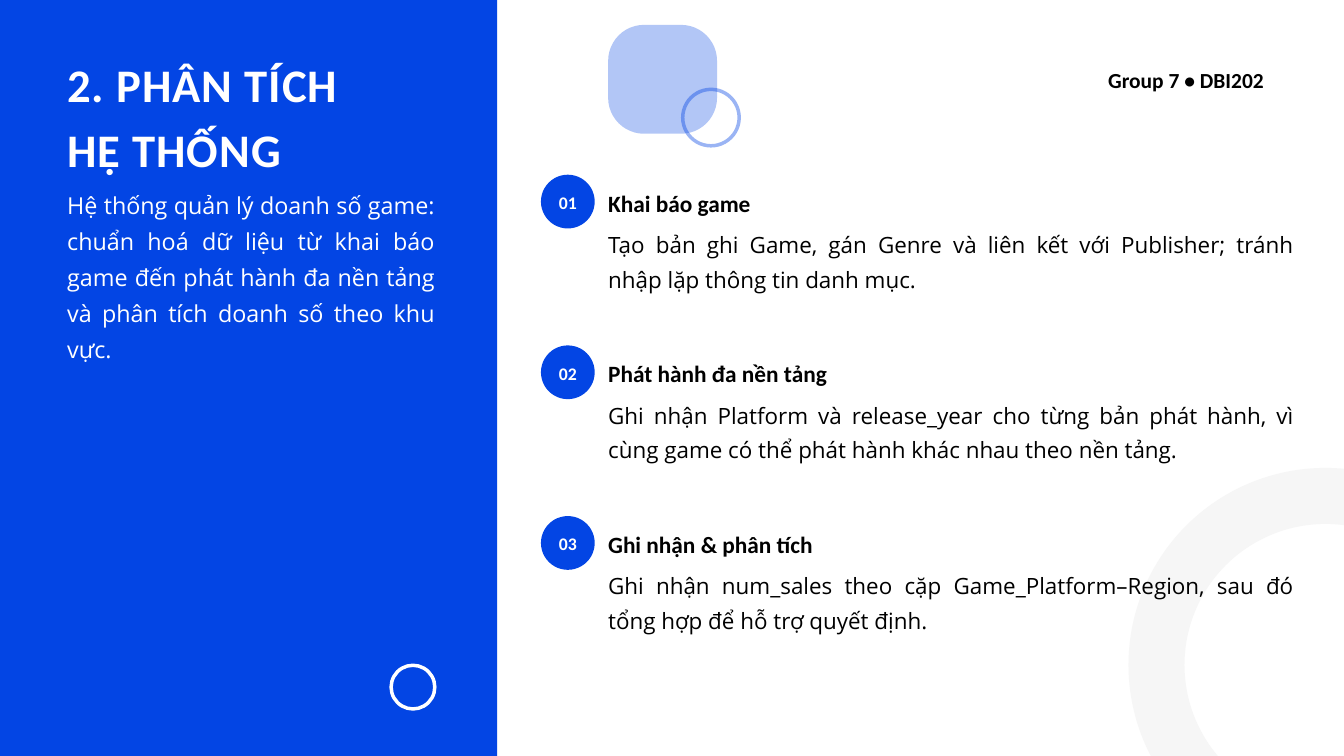
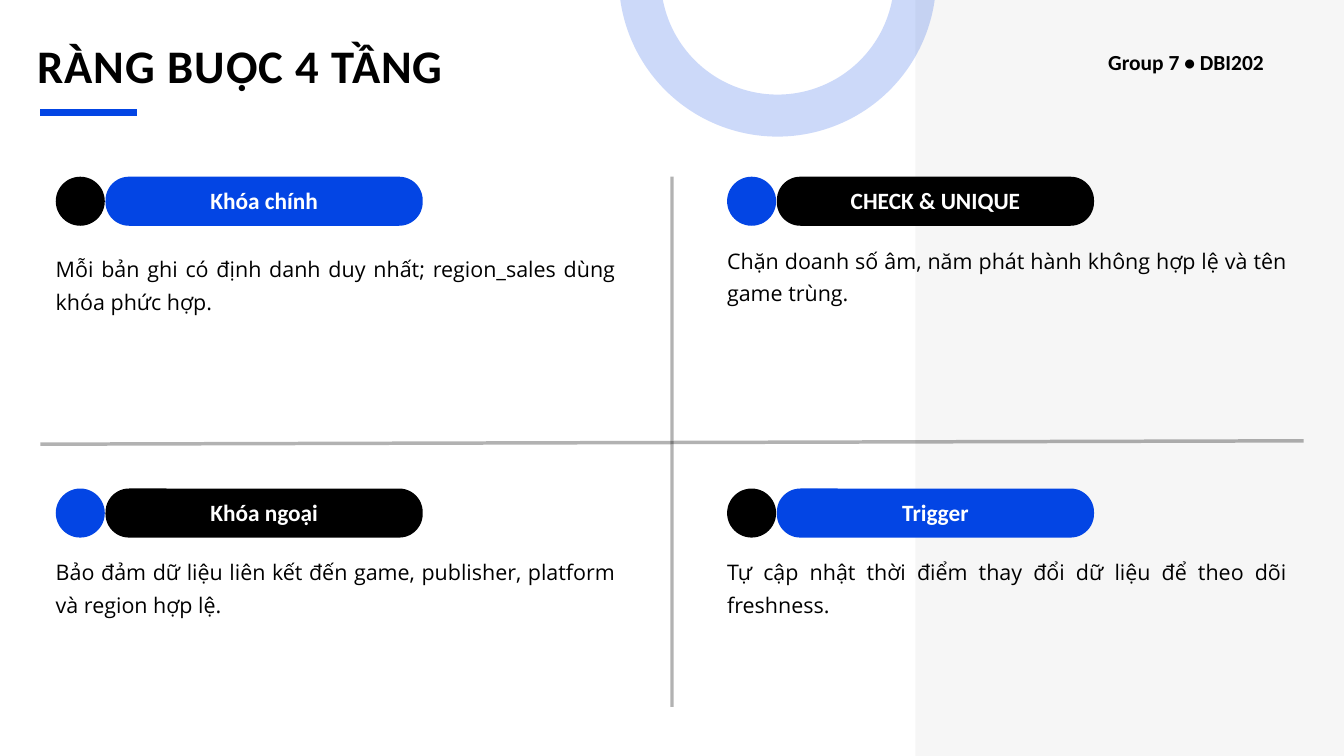
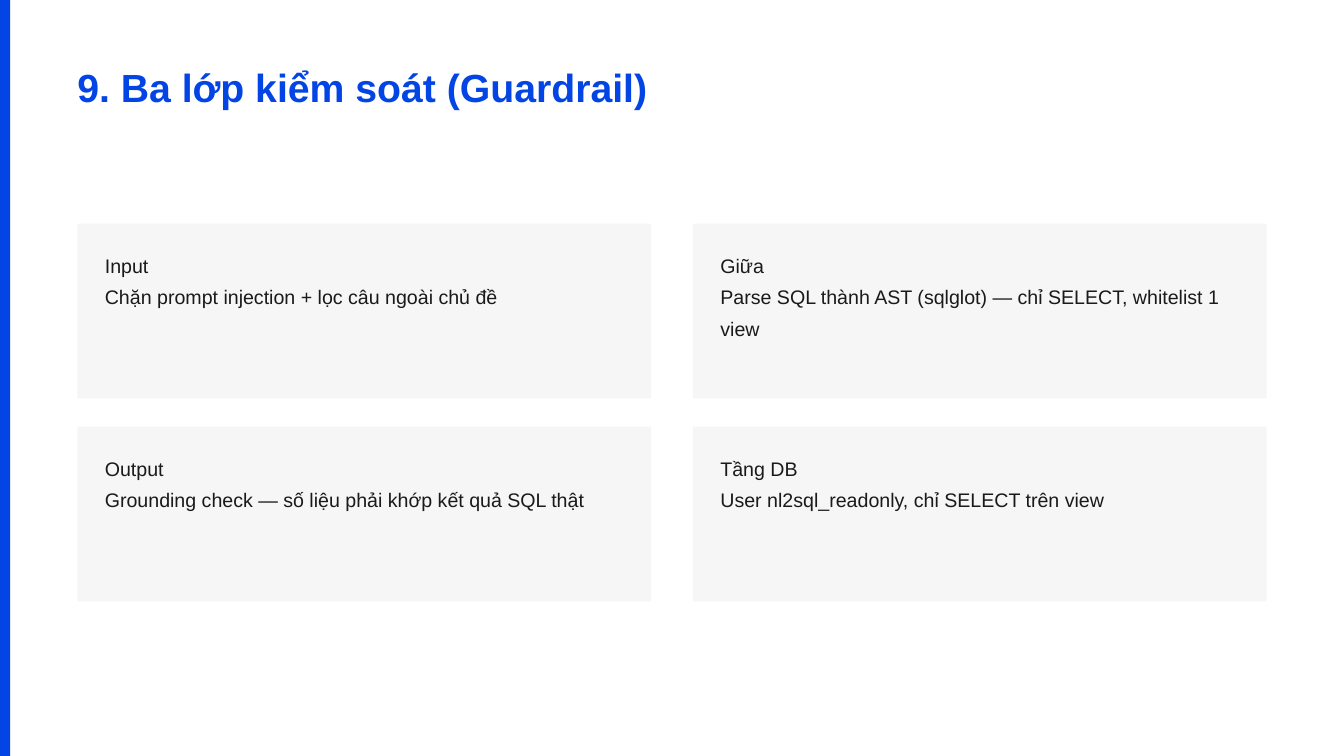
from pptx import Presentation
from pptx import util as u
from pptx.dml.color import RGBColor
from pptx.enum import shapes, text
from pptx.oxml.ns import qn
from pptx.oxml.xmlchemy import OxmlElement

BLUE, BLACK, WHITE, PALE, INK = "0345E4", "000000", "FFFFFF", "F6F6F6", "1A1A1A"
HEAD, BODY, PLAIN = "Calibri", "Open Sans", "Arial"
LEFT, CENTER, JUSTIFY = text.PP_ALIGN.LEFT, text.PP_ALIGN.CENTER, text.PP_ALIGN.JUSTIFY
RECT = shapes.MSO_SHAPE.RECTANGLE
ROUND = shapes.MSO_SHAPE.ROUNDED_RECTANGLE
OVAL = shapes.MSO_SHAPE.OVAL
WIDTH, HEIGHT = 20, 11.25


def rgb(color):
    return RGBColor.from_string(color)


def fade(shape, percent):
    """Make every colour of the shape see-through, leaving percent opacity."""
    for color in shape.element.spPr.iter(qn("a:srgbClr")):
        alpha = OxmlElement("a:alpha")
        alpha.set("val", str(percent * 1000))
        color.append(alpha)


class SlideMaker:
    """Holds the deck, its style and the slide being drawn."""

    def __init__(self):
        self.deck = Presentation()
        self.deck.slide_width = u.Inches(WIDTH)
        self.deck.slide_height = u.Inches(HEIGHT)
        self.page = None

    def new_page(self):
        self.page = self.deck.slides.add_slide(self.deck.slide_layouts[6])

    def shape(self, kind, left, top, width, height, fill, opacity=100, corner=None):
        shape = self.page.shapes.add_shape(
            kind, u.Inches(left), u.Inches(top), u.Inches(width), u.Inches(height))
        shape.shadow.inherit = False
        shape.line.fill.background()
        if fill:
            shape.fill.solid()
            shape.fill.fore_color.rgb = rgb(fill)
        else:
            shape.fill.background()
        if corner is not None:
            shape.adjustments[0] = corner
        if opacity < 100:
            fade(shape, opacity)
        return shape

    def ring(self, left, top, size, color, weight, opacity=100):
        ring = self.shape(OVAL, left, top, size, size, None)
        ring.line.color.rgb = rgb(color)
        ring.line.width = u.Pt(weight)
        if opacity < 100:
            fade(ring, opacity)

    def line(self, x1, y1, x2, y2, color, weight, opacity=100):
        line = self.page.shapes.add_connector(
            shapes.MSO_CONNECTOR.STRAIGHT,
            u.Inches(x1), u.Inches(y1), u.Inches(x2), u.Inches(y2))
        line.line.color.rgb = rgb(color)
        line.line.width = u.Pt(weight)
        line.element.spPr.append(OxmlElement("a:effectLst"))
        if opacity < 100:
            fade(line, opacity)

    def fill_frame(self, frame, lines, font, size, leading, color,
                   bold=False, align=LEFT, tracking=0):
        """Fill a text frame, one paragraph per line; leading is in points."""
        frame.word_wrap = True
        frame.margin_left = frame.margin_right = frame.margin_top = frame.margin_bottom = 0
        for index, line in enumerate(lines):
            para = frame.paragraphs[0] if index == 0 else frame.add_paragraph()
            span = para.add_run()
            span.text = line
            para.alignment = align
            para.line_spacing = u.Pt(leading)
            para.font.name = font
            para.font.size = u.Pt(size)
            para.font.bold = bold
            para.font.color.rgb = rgb(color)
            if tracking:
                span._r.get_or_add_rPr().set("spc", str(tracking * 100))

    def text(self, left, top, width, height, lines, *style, **options):
        box = self.page.shapes.add_textbox(
            u.Inches(left), u.Inches(top), u.Inches(width), u.Inches(height))
        self.fill_frame(box.text_frame, lines, *style, **options)

    def title(self, left, top, width, height, words, color):
        self.text(left, top, width, height, [words], HEAD, 50, 70, color,
                  bold=True, tracking=1)

    def body(self, left, top, width, height, words, size, leading, color=BLACK):
        self.text(left, top, width, height, [words], BODY, size, leading, color,
                  align=JUSTIFY)

    def label(self, shape, words, size, leading, lift):
        """Centre white bold words in a shape, raised by half of lift."""
        frame = shape.text_frame
        self.fill_frame(frame, [words], HEAD, size, leading, WHITE, bold=True, align=CENTER)
        frame.vertical_anchor = text.MSO_ANCHOR.MIDDLE
        frame.margin_bottom = u.Inches(lift)

    def group_tag(self, top):
        self.text(16.49, top, 3, 0.43, ["Group 7 • DBI202"], HEAD, 23, 32.2, BLACK, bold=True)


def system_analysis(maker):
    maker.new_page()
    maker.shape(RECT, 0, 0, 7.4, HEIGHT, BLUE)
    maker.title(1, 0.69, 5, 1.9, "2. PHÂN TÍCH HỆ THỐNG", WHITE)
    maker.body(1, 2.72, 5.47, 2.63,
               "Hệ thống quản lý doanh số game: chuẩn hoá dữ liệu từ khai báo game đến "
               "phát hành đa nền tảng và phân tích doanh số theo khu vực.", 25, 38.7, WHITE)
    maker.group_tag(0.93)
    maker.ring(17.21, 7.38, 5.03, PALE, 60)
    steps = [
        ("Khai báo game",
         "Tạo bản ghi Game, gán Genre và liên kết với Publisher; "
         "tránh nhập lặp thông tin danh mục."),
        ("Phát hành đa nền tảng",
         "Ghi nhận Platform và release_year cho từng bản phát hành, "
         "vì cùng game có thể phát hành khác nhau theo nền tảng."),
        ("Ghi nhận & phân tích",
         "Ghi nhận num_sales theo cặp Game_Platform–Region, "
         "sau đó tổng hợp để hỗ trợ quyết định."),
    ]
    for index, (heading, detail) in enumerate(steps):
        top = 2.6 + index * 2.54
        disc = maker.shape(OVAL, 8.05, top, 0.8, 0.8, BLUE)
        maker.label(disc, f"{index + 1:02}", 19, 26.6, 0.03)
        maker.text(9.05, top + 0.14, 6.02, 0.46, [heading], HEAD, 25, 35, BLACK, bold=True)
        maker.body(9.05, top + 0.72, 10.2, 0.99, detail, 24, 37.2)
    maker.shape(ROUND, 9.05, 0.37, 1.62, 1.62, BLUE, opacity=30, corner=0.33)
    maker.ring(10.16, 1.33, 0.84, BLUE, 3.75, opacity=40)
    maker.ring(5.82, 9.9, 0.65, WHITE, 3.75)


def four_constraints(maker):
    maker.new_page()
    maker.shape(RECT, 13.62, 0, 6.38, HEIGHT, PALE)
    maker.line(0.6, 6.61, 19.4, 6.56, BLACK, 3.75, opacity=30)
    maker.line(10, 2.63, 10, 10.52, BLACK, 3.75, opacity=30)
    maker.line(0.6, 1.67, 2.04, 1.67, BLUE, 7.5)
    maker.title(0.56, 0.41, 11.78, 0.93, "RÀNG BUỘC 4 TẦNG", BLACK)
    maker.group_tag(0.67)
    left, right, upper, lower = 0.83, 10.82, 2.63, 7.27
    constraints = [
        (left, upper, BLUE, BLACK, 1.09, "Khóa chính",
         "Mỗi bản ghi có định danh duy nhất; region_sales dùng khóa phức hợp."),
        (right, upper, BLACK, BLUE, 0.96, "CHECK & UNIQUE",
         "Chặn doanh số âm, năm phát hành không hợp lệ và tên game trùng."),
        (left, lower, BLACK, BLUE, 0.96, "Khóa ngoại",
         "Bảo đảm dữ liệu liên kết đến game, publisher, platform và region hợp lệ."),
        (right, lower, BLUE, BLACK, 0.96, "Trigger",
         "Tự cập nhật thời điểm thay đổi dữ liệu để theo dõi freshness."),
    ]
    for x, y, pill_color, disc_color, drop, heading, detail in constraints:
        pill = maker.shape(ROUND, x + 0.74, y, 4.72, 0.73, pill_color, corner=0.48)
        maker.label(pill, heading, 25, 35, 0.09)
        maker.shape(OVAL, x, y, 0.73, 0.73, disc_color)
        maker.body(x, y + drop, 8.34, 0.94, detail, 23, 34.5)
    maker.ring(9.52, -2.38, 4.1, BLUE, 45, opacity=20)


def guardrails(maker):
    maker.new_page()
    maker.shape(RECT, 0, 0, 0.15, HEIGHT, BLUE)
    maker.text(1.15, 0.83, 17.71, 0.8, ["9. Ba lớp kiểm soát (Guardrail)"],
               PLAIN, 42, 58.8, BLUE, bold=True)
    layers = [
        ("Input", "Chặn prompt injection + lọc câu ngoài chủ đề"),
        ("Giữa", "Parse SQL thành AST (sqlglot) — chỉ SELECT, whitelist 1 view"),
        ("Output", "Grounding check — số liệu phải khớp kết quả SQL thật"),
        ("Tầng DB", "User nl2sql_readonly, chỉ SELECT trên view"),
    ]
    for index, layer in enumerate(layers):
        row, column = divmod(index, 2)
        left, top = 1.15 + column * 9.16, 3.33 + row * 3.02
        maker.shape(ROUND, left, top, 8.54, 2.6, PALE, corner=0.01)
        maker.text(left + 0.41, top + 0.33, 7.71, 1.35, layer, PLAIN, 21, 33.6, INK)


def main():
    maker = SlideMaker()
    system_analysis(maker)
    four_constraints(maker)
    guardrails(maker)
    maker.deck.save("out.pptx")


if __name__ == "__main__":
    main()
